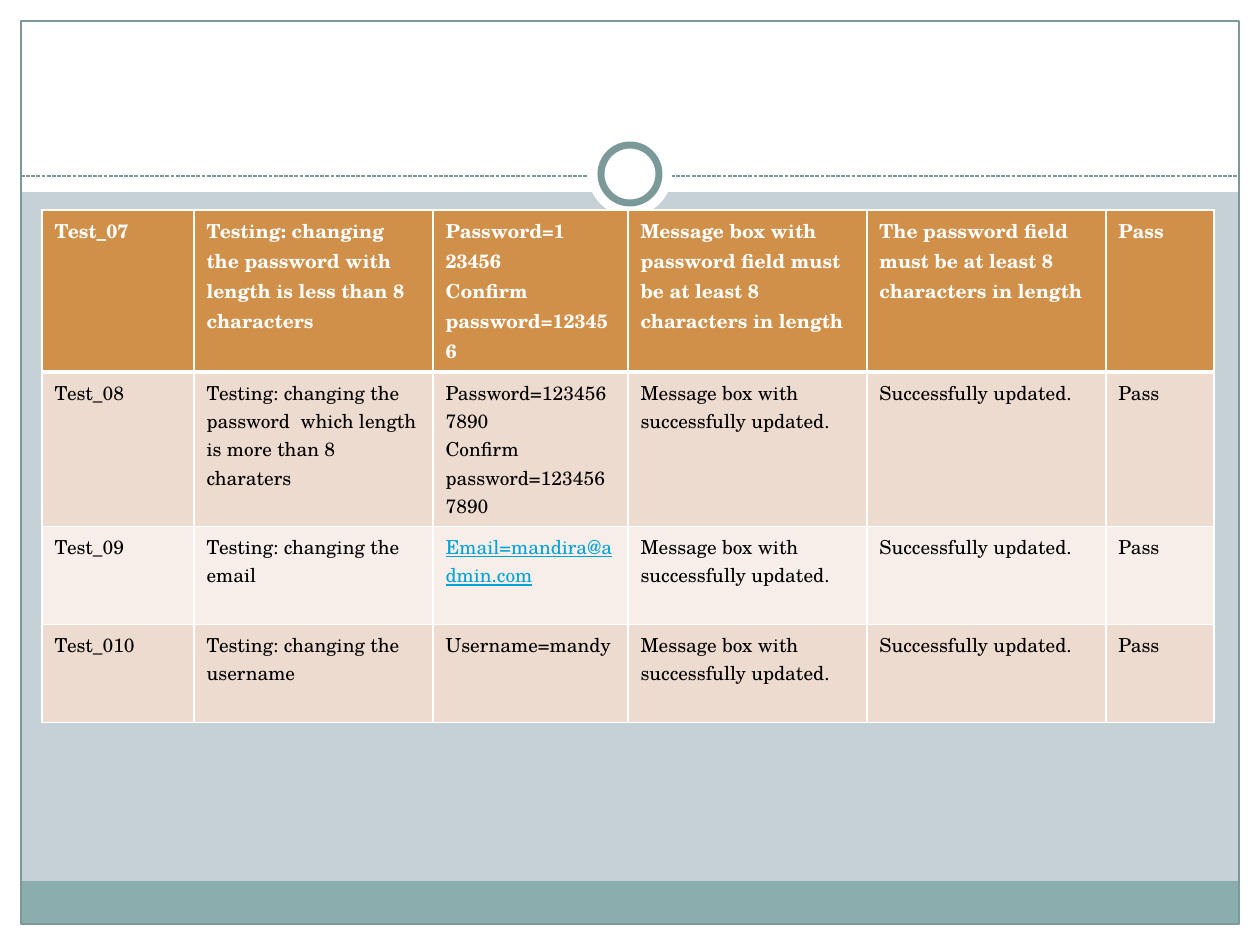
from typing import NamedTuple, Optional

from pptx import Presentation
from pptx.dml.color import RGBColor
from pptx.enum.dml import MSO_LINE
from pptx.enum.shapes import MSO_CONNECTOR, MSO_SHAPE
from pptx.oxml.ns import qn
from pptx.util import Emu, Pt
from lxml.etree import SubElement

EMU_PER_PX = 914400 / 126
FONT = "TeX Gyre Schola"
COLORS = {
    "background": "C5D1D7",
    "white": "FFFFFF",
    "black": "000000",
    "footer": "8CADAE",
    "frame": "7C999A",
    "header": "D19049",
    "band_dark": "EEDBD0",
    "band_light": "F7EEE9",
    "link": "00A3D6",
}


class Panel(NamedTuple):
    left: int
    top: int
    width: int
    height: int
    fill: Optional[str] = "white"
    line: Optional[str] = None
    line_width: float = 0.75
    kind: int = MSO_SHAPE.RECTANGLE


PANELS_BELOW_LINE = [
    Panel(0, 924, 1260, 21),
    Panel(0, 0, 1260, 192),
    Panel(0, 0, 21, 945),
    Panel(1239, 0, 21, 945),
    Panel(21, 881, 1217, 43, "footer"),
    Panel(21, 21, 1218, 903, None, "frame"),
]
RING = [
    Panel(588, 132, 84, 84, kind=MSO_SHAPE.OVAL),
    Panel(601, 145, 58, 58, "white", "frame", 4, MSO_SHAPE.OVAL),
]

COLUMN_WIDTHS = [152, 239, 195, 239, 239, 108]
ROW_HEIGHTS = [162, 154, 98, 98]
ROW_FILLS = ["header", "band_dark", "band_light", "band_dark"]
UPDATED = ["Message box with successfully updated.", "Successfully updated.", "Pass"]
EMAIL = "Email=mandira@admin.com"
ROWS = [
    ["Test_07",
     "Testing: changing the password with length is less than 8 characters",
     "Password=1\n23456\nConfirm password=123456",
     "Message box with password field must be at least 8 characters in length",
     "The password field must be at least 8 characters in length",
     "Pass"],
    ["Test_08",
     "Testing: changing the password  which length is more than 8 charaters",
     "Password=1234567890\nConfirm password=1234567890", *UPDATED],
    ["Test_09", "Testing: changing the email", EMAIL, *UPDATED],
    ["Test_010", "Testing: changing the username", "Username=mandy", *UPDATED],
]


def px(length: int) -> Emu:
    return Emu(round(length * EMU_PER_PX))


def rgb(name: str) -> RGBColor:
    return RGBColor.from_string(COLORS[name])


def draw_panel(slide, panel: Panel) -> None:
    shape = slide.shapes.add_shape(panel.kind, *map(px, panel[:4]))
    shape.shadow.inherit = False
    if panel.fill:
        shape.fill.solid()
        shape.fill.fore_color.rgb = rgb(panel.fill)
    else:
        shape.fill.background()
    if panel.line:
        shape.line.color.rgb = rgb(panel.line)
        shape.line.width = Pt(panel.line_width)
    else:
        shape.line.fill.background()


def draw_divider(slide, left: int, right: int, y: int) -> None:
    divider = slide.shapes.add_connector(
        MSO_CONNECTOR.STRAIGHT, px(left), px(y), px(right), px(y))
    divider.line.color.rgb = rgb("frame")
    divider.line.width = Pt(0.75)
    divider.line.dash_style = MSO_LINE.SQUARE_DOT
    SubElement(divider._element.spPr, qn("a:effectLst"))


def set_borders(cell, top: int, bottom: int) -> None:
    properties = cell._tc.get_or_add_tcPr()
    for side, width in (("L", 1), ("R", 1), ("T", top), ("B", bottom)):
        border = SubElement(properties, qn(f"a:ln{side}"), w=str(Pt(width)))
        fill = SubElement(border, qn("a:solidFill"))
        SubElement(fill, qn("a:srgbClr"), val=COLORS["white"])


def fill_cell(cell, text: str, row: int) -> None:
    is_header = row == 0
    set_borders(cell, top=3 if row == 1 else 1, bottom=3 if is_header else 1)
    cell.fill.solid()
    cell.fill.fore_color.rgb = rgb(ROW_FILLS[row])
    cell.text_frame.text = text
    for paragraph in cell.text_frame.paragraphs:
        for run in paragraph.runs:
            run.font.name = FONT
            run.font.size = Pt(11)
            run.font.bold = is_header
            run.font.underline = text == EMAIL
            color = "white" if is_header else "link" if text == EMAIL else "black"
            run.font.color.rgb = rgb(color)


def draw_table(slide, left: int, top: int) -> None:
    table = slide.shapes.add_table(
        len(ROWS), len(COLUMN_WIDTHS), px(left), px(top),
        px(sum(COLUMN_WIDTHS)), px(sum(ROW_HEIGHTS))).table
    for column, width in zip(table.columns, COLUMN_WIDTHS):
        column.width = px(width)
    for index, (row, height) in enumerate(zip(table.rows, ROW_HEIGHTS)):
        row.height = px(height)
        for cell, text in zip(row.cells, ROWS[index]):
            fill_cell(cell, text, index)


def main() -> None:
    presentation = Presentation()
    presentation.slide_width, presentation.slide_height = px(1260), px(945)
    slide = presentation.slides.add_slide(presentation.slide_layouts[6])
    slide.background.fill.solid()
    slide.background.fill.fore_color.rgb = rgb("background")

    # White margins, footer band and frame
    for panel in PANELS_BELOW_LINE:
        draw_panel(slide, panel)

    # Dashed divider with the ring at its centre
    draw_divider(slide, 21, 1239, 176)
    for panel in RING:
        draw_panel(slide, panel)

    # Test results
    draw_table(slide, 42, 210)
    presentation.save("out.pptx")


if __name__ == "__main__":
    main()
